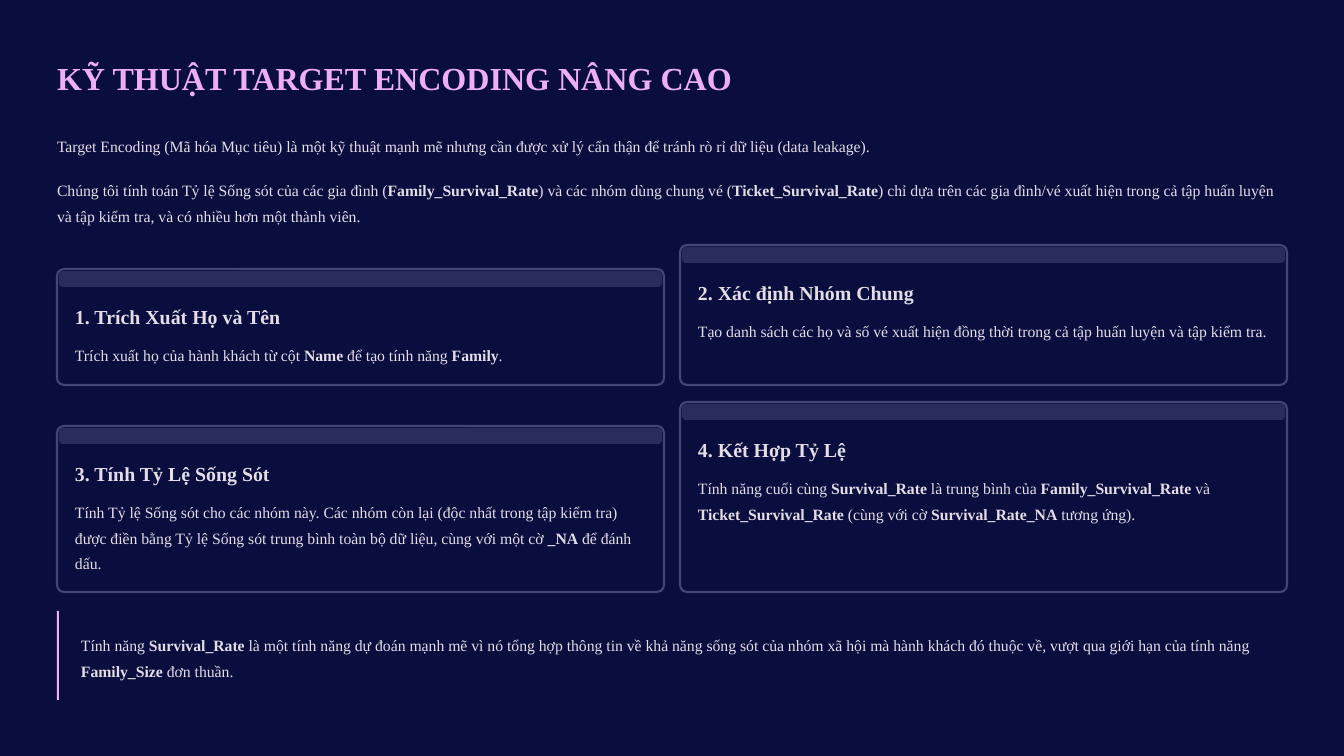
from pptx import Presentation
from pptx.dml.color import RGBColor as RGB
from pptx.enum.shapes import MSO_SHAPE as Kind
from pptx.util import Emu, Pt

SCALE = 914400 / 84
THEME = {
    "font": "Times New Roman",
    "back": "090E3F", "edge": "414677", "bar": "282D5E",
    "pink": "EEAEF6", "text": "E5DCE6",
    "title": (27.5, 34.5), "head": (17, 21.5), "body": (13.5, 22),
}


def write(box, text, style, color="text", bold=False):
    frame = slide.shapes.add_textbox(*[Emu(round(n * SCALE)) for n in box]).text_frame
    frame.margin_left = frame.margin_right = frame.margin_top = frame.margin_bottom = 0
    frame.word_wrap = True
    size, lead = THEME[style]
    para = frame.paragraphs[0]
    para.line_spacing = Pt(lead)
    for i, part in enumerate(text.split("**")):
        run = para.add_run()
        run.text = part
        run.font.name = THEME["font"]
        run.font.size = Pt(size)
        run.font.bold = bold or i % 2 == 1
        run.font.color.rgb = RGB.from_string(THEME[color])


def draw(box, fill, edge=None, radius=0):
    kind = Kind.ROUNDED_RECTANGLE if radius else Kind.RECTANGLE
    shape = slide.shapes.add_shape(kind, *[Emu(round(n * SCALE)) for n in box])
    shape.shadow.inherit = False
    shape.fill.solid()
    shape.fill.fore_color.rgb = RGB.from_string(THEME[fill])
    if radius:
        shape.adjustments[0] = radius / min(box[2:])
    if edge:
        shape.line.color.rgb = RGB.from_string(THEME[edge])
        shape.line.width = Pt(1.8)
    else:
        shape.line.fill.background()


deck = Presentation()
deck.slide_width = Emu(round(1344 * SCALE))
deck.slide_height = Emu(round(756 * SCALE))
slide = deck.slides.add_slide(deck.slide_layouts[6])
slide.background.fill.solid()
slide.background.fill.fore_color.rgb = RGB.from_string(THEME["back"])

write((57, 57, 1230, 40), "KỸ THUẬT TARGET ENCODING NÂNG CAO", "title", "pink", True)
write((57, 130, 1230, 26),
      "Target Encoding (Mã hóa Mục tiêu) là một kỹ thuật mạnh mẽ nhưng cần được "
      "xử lý cẩn thận để tránh rò rỉ dữ liệu (data leakage).", "body")
write((57, 174, 1230, 52),
      "Chúng tôi tính toán Tỷ lệ Sống sót của các gia đình (**Family_Survival_Rate**) "
      "và các nhóm dùng chung vé (**Ticket_Survival_Rate**) chỉ dựa trên các gia đình/vé "
      "xuất hiện trong cả tập huấn luyện và tập kiểm tra, và có nhiều hơn một thành viên.", "body")

cards = [
    (57, 269, 385, "1. Trích Xuất Họ và Tên",
     "Trích xuất họ của hành khách từ cột **Name** để tạo tính năng **Family**."),
    (680, 245, 385, "2. Xác định Nhóm Chung",
     "Tạo danh sách các họ và số vé xuất hiện đồng thời trong cả tập huấn luyện và tập kiểm tra."),
    (57, 426, 592, "3. Tính Tỷ Lệ Sống Sót",
     "Tính Tỷ lệ Sống sót cho các nhóm này. Các nhóm còn lại (độc nhất trong tập kiểm tra) "
     "được điền bằng Tỷ lệ Sống sót trung bình toàn bộ dữ liệu, cùng với một cờ **_NA** để đánh dấu."),
    (680, 402, 592, "4. Kết Hợp Tỷ Lệ",
     "Tính năng cuối cùng **Survival_Rate** là trung bình của **Family_Survival_Rate** và "
     "**Ticket_Survival_Rate** (cùng với cờ **Survival_Rate_NA** tương ứng)."),
]
for left, top, base, head, body in cards:
    draw((left, top, 607, base - top), "back", "edge", 7)
    draw((left + 2, top + 2, 603, 16), "bar", radius=4)
    write((left + 18, top + 34, 571, 25), head, "head", bold=True)
    write((left + 18, top + 70, 571, base - top - 88), body, "body")

write((81, 629, 1206, 52),
      "Tính năng **Survival_Rate** là một tính năng dự đoán mạnh mẽ vì nó tổng hợp thông tin "
      "về khả năng sống sót của nhóm xã hội mà hành khách đó thuộc về, vượt qua giới hạn "
      "của tính năng **Family_Size** đơn thuần.", "body")
draw((57, 611, 2, 89), "pink")

deck.save("out.pptx")
